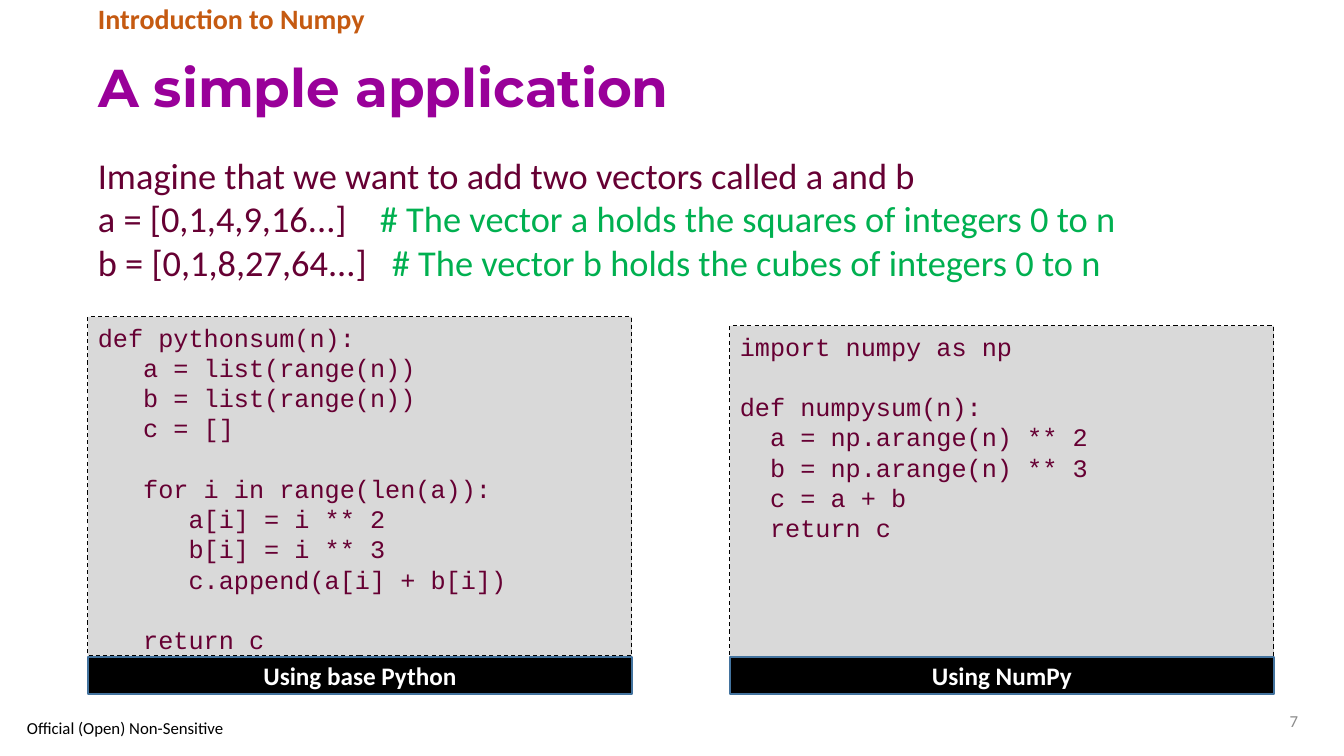
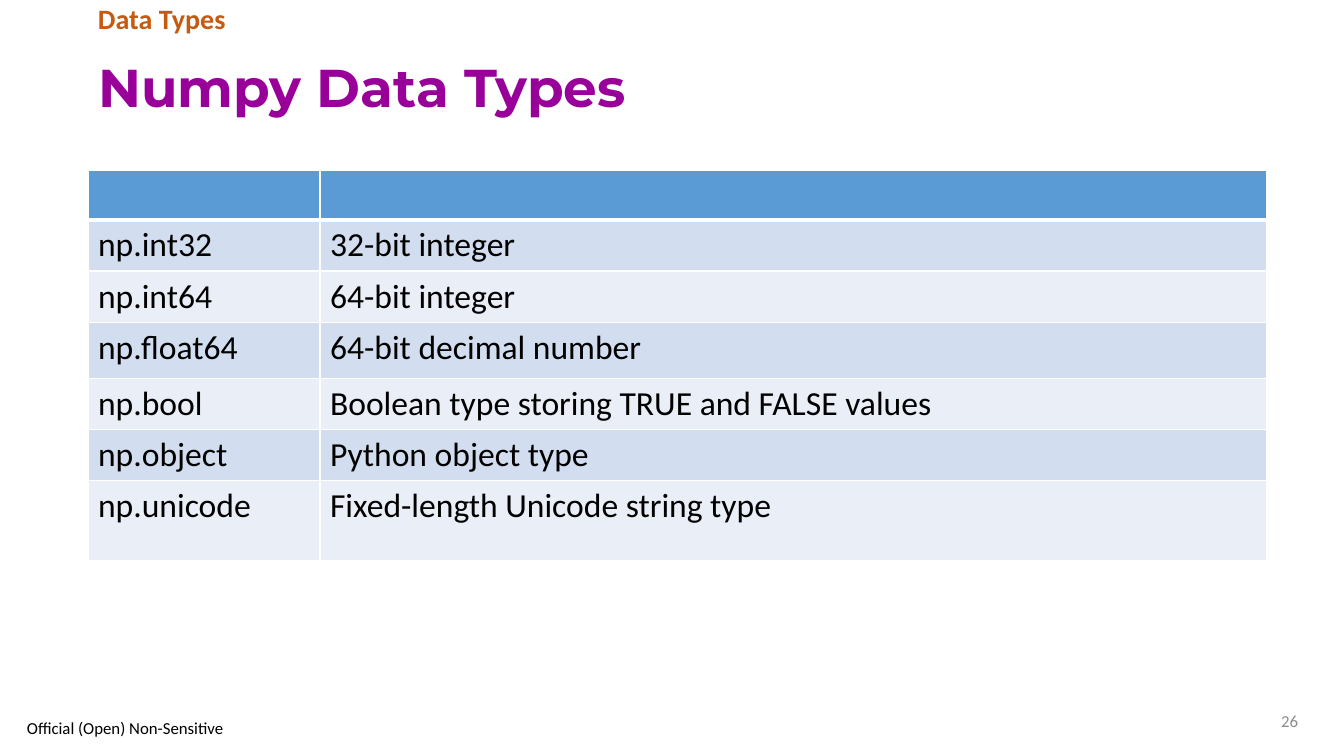
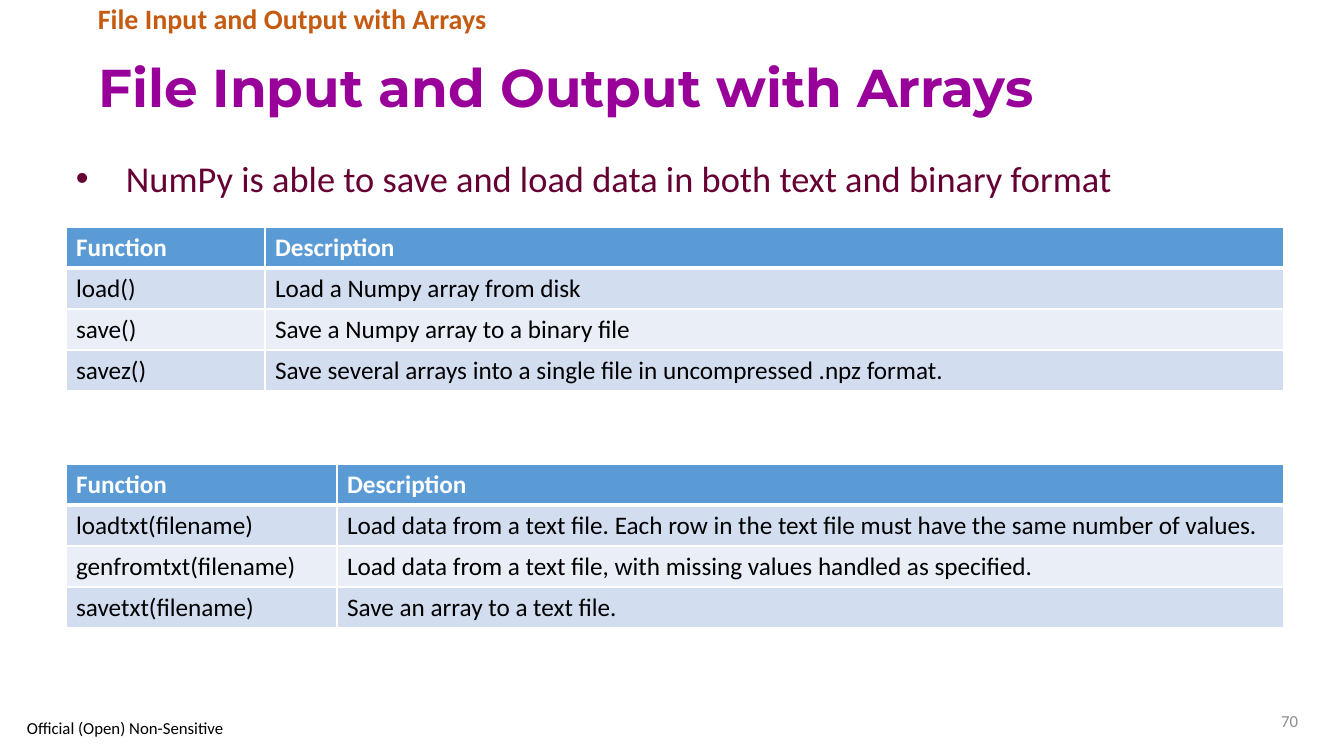
import pptx
import pptx.dml.color
import pptx.enum.dml
import pptx.enum.shapes
import pptx.enum.text
import pptx.oxml.ns
import pptx.util
from lxml import etree

EMU_PER_PX = 914400 / 100.8
ALIGN = pptx.enum.text.PP_ALIGN
ANCHOR = pptx.enum.text.MSO_ANCHOR

PURPLE, PLUM, ORANGE, GREEN = "990099", "660033", "C55A11", "00B050"
BLACK, WHITE, GREY, PANEL = "000000", "FFFFFF", "8C8C8C", "D9D9D9"
LABEL_EDGE, HEADER, BANDS = "43739E", "5B9BD5", ("D2DEEF", "EAEFF7")


def px(length):
    return pptx.util.Emu(round(length * EMU_PER_PX))


def rgb(value):
    return pptx.dml.color.RGBColor.from_string(value)


def look(size, color, name="Calibri", bold=False, **layout):
    """Pair the font values of a text with its paragraph values."""
    font = {"size": pptx.util.Pt(size), "name": name, "bold": bold}
    return {"color": color, "font": font, "layout": layout}


TITLE = look(38, PURPLE, "Montserrat", True, alignment=ALIGN.LEFT, line_spacing=0.9)
TOPIC = look(20, ORANGE, bold=True, line_spacing=0.9)
BODY = look(26, PLUM)
CODE = look(18, PLUM, "Courier New", alignment=ALIGN.LEFT)
LABEL = look(18, WHITE, bold=True, alignment=ALIGN.CENTER)
NUMBER = look(12, GREY, alignment=ALIGN.RIGHT)
FOOTER = look(12, BLACK)


def add_child(parent, tag, **attributes):
    child = etree.SubElement(parent, pptx.oxml.ns.qn(tag))
    for key, value in attributes.items():
        child.set(key, str(value))
    return child


class Deck:
    def __init__(self):
        self.deck = pptx.Presentation()
        self.deck.slide_width, self.deck.slide_height = px(1344), px(756)
        self.page = None

    def new_page(self, topic, title, number):
        self.page = self.deck.slides.add_slide(self.deck.slide_layouts[5])
        heading = self.page.shapes.title
        heading.left, heading.top, heading.width, heading.height = map(
            px, (88, 41, 1219, 98))
        self.fill_frame(heading.text_frame, [title], TITLE, ANCHOR.MIDDLE)
        self.text((88, 0, 1219, 41), [topic], TOPIC)
        self.text((978, 701, 330, 40), [str(number)], NUMBER, ANCHOR.MIDDLE)
        self.text((17, 715, 226, 26), ["Official (Open) Non-Sensitive"],
                  FOOTER, ANCHOR.MIDDLE)

    def fill_frame(self, frame, lines, style, anchor=ANCHOR.TOP):
        """Fill a frame; a line is a string or a list of (text, color) spans."""
        frame.word_wrap = True
        frame.auto_size = pptx.enum.text.MSO_AUTO_SIZE.NONE
        frame.vertical_anchor = anchor
        for index, line in enumerate(lines):
            para = frame.add_paragraph() if index else frame.paragraphs[0]
            self.fill_para(para, line, style)

    def fill_para(self, para, line, style):
        for key, value in style["layout"].items():
            setattr(para, key, value)
        spans = [(line, style["color"])] if isinstance(line, str) else line
        for text, color in spans:
            span = para.add_run()
            span.text = text
            for key, value in style["font"].items():
                setattr(span.font, key, value)
            span.font.color.rgb = rgb(color)

    def text(self, place, lines, style, anchor=ANCHOR.TOP):
        box = self.page.shapes.add_textbox(*map(px, place))
        self.fill_frame(box.text_frame, lines, style, anchor)
        return box.text_frame.paragraphs

    def panel(self, place, lines, style, fill, edge, width, dash=None,
              anchor=ANCHOR.TOP):
        box = self.page.shapes.add_shape(
            pptx.enum.shapes.MSO_SHAPE.RECTANGLE, *map(px, place))
        box.shadow.inherit = False
        box.fill.solid()
        box.fill.fore_color.rgb = rgb(fill)
        box.line.color.rgb = rgb(edge)
        box.line.width = pptx.util.Pt(width)
        box.line.dash_style = dash
        self.fill_frame(box.text_frame, lines, style, anchor)

    def code(self, left, top, caption, source):
        self.panel((left, top, 544, 339), source.split("\n"), CODE, PANEL, BLACK,
                   0.75, pptx.enum.dml.MSO_LINE.DASH)
        self.panel((left, 657, 544, 37), [caption], LABEL, BLACK, LABEL_EDGE, 1,
                   anchor=ANCHOR.MIDDLE)

    def tab_stop(self, para, position):
        stops = add_child(para._p.get_or_add_pPr(), "a:tabLst")
        add_child(stops, "a:tab", pos=px(position), algn="l")

    def bullet(self, para, indent):
        properties = para._p.get_or_add_pPr()
        properties.set("marL", str(px(indent)))
        properties.set("indent", str(-px(indent)))
        add_child(properties, "a:buFont", typeface="Arial")
        add_child(properties, "a:buChar", char="•")

    def borders(self, cell, top, bottom):
        properties = cell._tc.get_or_add_tcPr()
        for side, width in (("L", 1), ("R", 1), ("T", top), ("B", bottom)):
            line = add_child(properties, "a:ln" + side, w=pptx.util.Pt(width))
            add_child(add_child(line, "a:solidFill"), "a:srgbClr", val=WHITE)

    def table(self, left, top, widths, heights, rows, size):
        """Draw a banded table whose first row is the header."""
        grid = self.page.shapes.add_table(
            len(rows), len(widths), px(left), px(top),
            px(sum(widths)), px(sum(heights))).table
        for column, width in zip(grid.columns, widths):
            column.width = px(width)
        for index, (row, height, texts) in enumerate(zip(grid.rows, heights, rows)):
            row.height = px(height)
            header = index == 0
            style = look(size, WHITE if header else BLACK, bold=header)
            for cell, text in zip(row.cells, texts):
                # The thick rule under the header is shared with the next row.
                self.borders(cell, 3 if index == 1 else 1, 3 if header else 1)
                cell.fill.solid()
                cell.fill.fore_color.rgb = rgb(
                    HEADER if header else BANDS[(index - 1) % 2])
                if text:
                    self.fill_para(cell.text_frame.paragraphs[0], text, style)


PYTHON_SUM = """def pythonsum(n):
   a = list(range(n))
   b = list(range(n))
   c = []

   for i in range(len(a)):
      a[i] = i ** 2
      b[i] = i ** 3
      c.append(a[i] + b[i])

   return c"""

NUMPY_SUM = """import numpy as np

def numpysum(n):
  a = np.arange(n) ** 2
  b = np.arange(n) ** 3
  c = a + b
  return c"""

DATA_TYPES = [
    ("", ""),
    ("np.int32", "32-bit integer"),
    ("np.int64", "64-bit integer"),
    ("np.float64", "64-bit decimal number"),
    ("np.bool", "Boolean type storing TRUE and FALSE values"),
    ("np.object", "Python object type"),
    ("np.unicode", "Fixed-length Unicode string type"),
]

FUNCTION_HEADER = ("Function", "Description")
BINARY_FUNCTIONS = [
    FUNCTION_HEADER,
    ("load()", "Load a Numpy array from disk"),
    ("save()", "Save a Numpy array to a binary file"),
    ("savez()", "Save several arrays into a single file in uncompressed .npz format."),
]
TEXT_FUNCTIONS = [
    FUNCTION_HEADER,
    ("loadtxt(filename)", "Load data from a text file. Each row in the text file "
                          "must have the same number of values."),
    ("genfromtxt(filename)",
     "Load data from a text file, with missing values handled as specified."),
    ("savetxt(filename)", "Save an array to a text file."),
]


def application_page(deck):
    deck.new_page("Introduction to Numpy", "A simple application", 7)
    paras = deck.text((88, 148, 1220, 232), [
        "Imagine that we want to add two vectors called a and b",
        [("a = [0,1,4,9,16...]\t", PLUM),
         ("# The vector a holds the squares of integers 0 to n", GREEN)],
        [("b = [0,1,8,27,64...]\t", PLUM),
         ("# The vector b holds the cubes of integers 0 to n", GREEN)],
    ], BODY)
    for para, position in zip(paras[1:], (282, 294)):
        deck.tab_stop(para, position)
    deck.code(88, 317, "Using base Python", PYTHON_SUM)
    deck.code(730, 326, "Using NumPy", NUMPY_SUM)


def data_types_page(deck):
    deck.new_page("Data Types", "Numpy Data Types", 26)
    deck.table(88, 170, (232, 947), (50, 51, 51, 56, 51, 51, 80), DATA_TYPES, 24)


def files_page(deck):
    title = "File Input and Output with Arrays"
    deck.new_page(title, title, 70)
    paras = deck.text((66, 151, 1219, 99), [
        "NumPy is able to save and load data in both text and binary format"], BODY)
    deck.bullet(paras[0], 50)
    deck.table(66, 227, (199, 1019), [41] * 4, BINARY_FUNCTIONS, 18)
    deck.table(66, 464, (271, 947), [41] * 4, TEXT_FUNCTIONS, 18)


def main():
    deck = Deck()
    for build_page in (application_page, data_types_page, files_page):
        build_page(deck)
    deck.deck.save("out.pptx")


if __name__ == "__main__":
    main()
